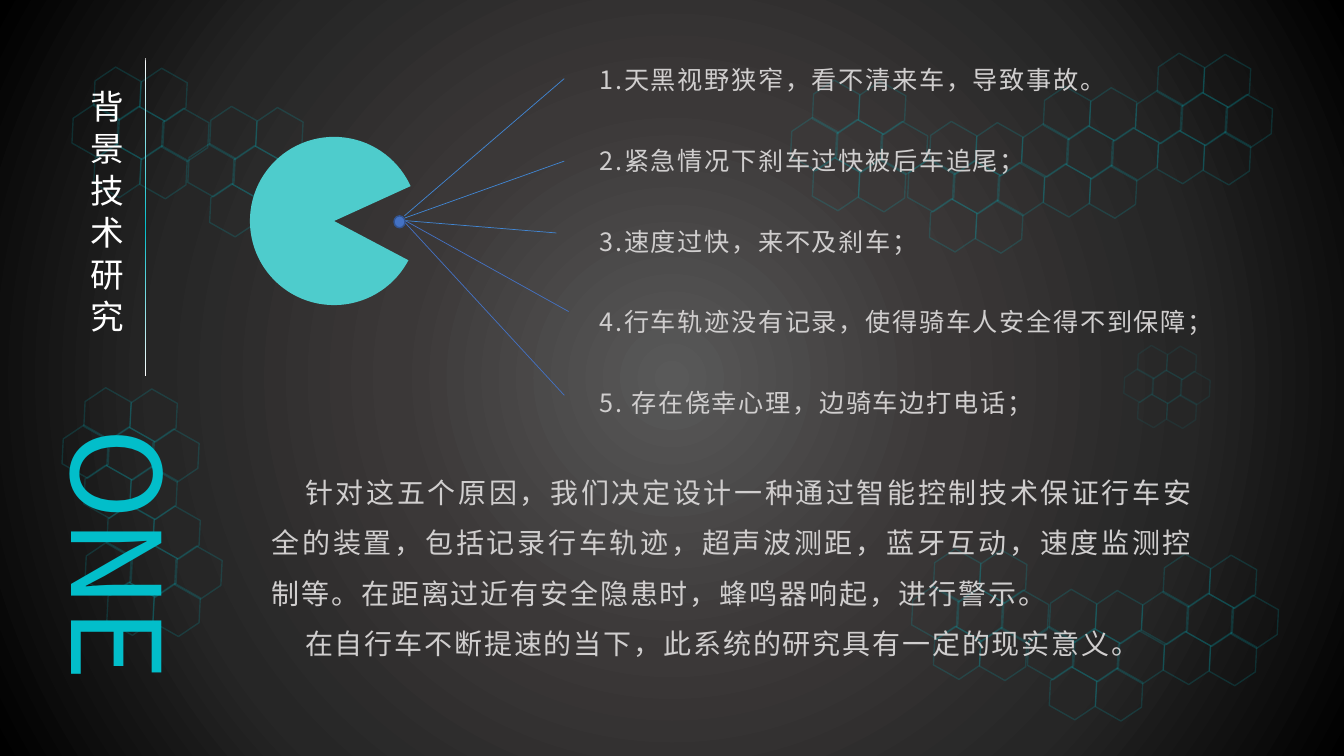
from lxml import etree
from pptx import Presentation
from pptx import util as u
from pptx.dml.color import RGBColor
from pptx.enum import shapes, text
from pptx.oxml.ns import qn

Cm, Pt = u.Cm, u.Pt
SHAPE = shapes.MSO_SHAPE


def rgb(value):
    return RGBColor.from_string(value)


def gradient(fill, owner, stops, angle=None):
    """Fill with (percent, colour) stops: linear at an angle, or circular without one."""
    fill.gradient()
    grad = owner.find(".//" + qn("a:gradFill"))
    for child in list(grad):
        grad.remove(child)
    stop_list = etree.SubElement(grad, qn("a:gsLst"))
    for percent, color in stops:
        gs = etree.SubElement(stop_list, qn("a:gs"), pos=str(percent * 1000))
        etree.SubElement(gs, qn("a:srgbClr"), val=color)
    if angle is None:
        circle = etree.SubElement(grad, qn("a:path"), {"path": "circle"})
        etree.SubElement(circle, qn("a:fillToRect"), dict.fromkeys("ltrb", "50000"))
    else:
        etree.SubElement(grad, qn("a:lin"), ang=str(angle * 60000), scaled="0")


class SlideBuilder:
    FONT = "Noto Sans CJK SC"
    CYAN, TEAL, GREY, WHITE = "02BECA", "4ECCCC", "D0CECE", "FFFFFF"
    BLUE, SKY, NAVY = "4472C4", "4186D3", "325491"

    def __init__(self, prs):
        self.s = prs.slides.add_slide(prs.slide_layouts[1])

    def background(self, stops):
        gradient(self.s.background.fill, self.s._element, stops)

    def shape(self, kind, box, fill=None, line=None, width=1, rotation=0, alpha=None):
        sp = self.s.shapes.add_shape(kind, *map(Cm, box))
        sp.shadow.inherit = False
        sp.rotation = rotation
        if fill:
            sp.fill.solid()
            sp.fill.fore_color.rgb = rgb(fill)
        else:
            sp.fill.background()
        if line:
            sp.line.color.rgb = rgb(line)
            sp.line.width = Pt(width)
        else:
            sp.line.fill.background()
        if alpha:
            color = sp.line._ln.find(".//" + qn("a:srgbClr"))
            etree.SubElement(color, qn("a:alpha"), val=str(alpha * 1000))
        return sp

    def honeycomb(self, x, y, alpha, scale=1):
        """Seven hexagons: one centred on x, y and six around it."""
        w, h = 1.3 * scale, 1.12 * scale
        half_ring = [(1.13, 0.05), (0.58, 0.99), (-0.58, 0.96)]
        ring = [(sign * dx, sign * dy) for sign in (1, -1) for dx, dy in half_ring]
        for dx, dy in [(0, 0)] + ring:
            box = (x + dx * scale - w / 2, y + dy * scale - h / 2, w, h)
            self.shape(SHAPE.HEXAGON, box, line=self.CYAN, rotation=29.5, alpha=alpha)

    def line(self, start, end, color):
        c = self.s.shapes.add_connector(
            shapes.MSO_CONNECTOR.STRAIGHT, *map(Cm, start + end))
        c.line.color.rgb = rgb(color)
        c.line.width = Pt(0.5)
        etree.SubElement(c._element.spPr, qn("a:effectLst"))

    def placeholder(self, sp, box):
        """Move a placeholder into its box and to the front."""
        sp.left, sp.top, sp.width, sp.height = map(Cm, box)
        self.s.shapes._spTree.append(sp._element)
        return sp

    def textbox(self, box):
        return self.s.shapes.add_textbox(*map(Cm, box))

    def text(self, sp, lines, size, color=GREY, spacing=0, indent=0, line_spacing=1,
             gap=0, align=text.PP_ALIGN.LEFT, fade=None):
        tf = sp.text_frame
        tf.word_wrap = True
        tf.auto_size = text.MSO_AUTO_SIZE.NONE
        tf.vertical_anchor = text.MSO_ANCHOR.TOP
        for i, line in enumerate(lines):
            p = tf.paragraphs[0] if i == 0 else tf.add_paragraph()
            pPr = p._p.get_or_add_pPr()
            pPr.set("marL", "0")
            pPr.set("indent", str(Cm(indent)))
            etree.SubElement(pPr, qn("a:buNone"))
            p.alignment = align
            p.line_spacing = line_spacing
            p.space_before = Pt(gap if i else 0)
            r = p.add_run()
            r.text = line
            r.font.size = Pt(size)
            if fade:
                gradient(r.font.fill, r._r, fade, 180)
            else:
                r.font.color.rgb = rgb(color)
            r.font.name = self.FONT
            rPr = r._r.get_or_add_rPr()
            rPr.set("spc", str(round(spacing * 100)))
            etree.SubElement(rPr, qn("a:ea"), typeface=self.FONT)
        return tf


def main():
    prs = Presentation()
    prs.slide_width, prs.slide_height = Cm(33.87), Cm(19.05)
    b = SlideBuilder(prs)
    b.background([(0, "595959"), (36, "3B3838"), (67, "262626"), (100, "000000")])

    for x, y, alpha in [
        (3.87, 14.38, 16), (3.29, 11.43, 17), (27.62, 16.51, 16), (24.7, 15.49, 17),
        (30.49, 15.62, 17), (27.47, 3.84, 16), (30.34, 3, 17), (24.6, 4.72, 17),
        (21.65, 3.68, 16), (3.54, 3.35, 17), (6.46, 4.34, 17),
    ]:
        b.honeycomb(x, y, alpha)
    b.honeycomb(29.41, 9.75, 8, scale=0.63)

    number = b.textbox((-1.3, 13.23, 8.64, 3.76))
    number.rotation = 90
    tf = b.text(number, ["ONE"], 88, b.CYAN)
    tf.margin_left = tf.margin_right = tf.margin_top = tf.margin_bottom = 0

    title = b.placeholder(b.s.shapes.title, (1.88, 2.13, 1.55, 7.44))
    tf = b.text(title, ["背景技术研究"], 24, spacing=6,
                fade=[(0, b.WHITE), (100, b.CYAN)])
    tf._txBody.bodyPr.set("vert", "eaVert")
    rule = b.shape(SHAPE.RECTANGLE, (-0.33, 5.46, 8, 0.02), rotation=90)
    gradient(rule.fill, rule._element.spPr,
             [(0, b.WHITE), (53, b.CYAN), (100, b.WHITE)], 0)

    prose = dict(indent=0.84, line_spacing=1.5, align=text.PP_ALIGN.JUSTIFY)
    b.text(b.textbox((6.6, 11.43, 23.72, 5.23)), [
        "针对这五个原因，我们决定设计一种通过智能控制技术保证行车安全的装置，"
        "包括记录行车轨迹，超声波测距，蓝牙互动，速度监测控制等。"
        "在距离过近有安全隐患时，蜂鸣器响起，进行警示。",
        "在自行车不断提速的当下，此系统的研究具有一定的现实意义。",
    ], 20, spacing=1.3, **prose)

    pie = b.shape(SHAPE.PIE, (6.3, 3.45, 4.24, 4.24), fill=b.TEAL)
    pie.adjustments[0], pie.adjustments[1] = 16.696, 201.306
    causes = b.placeholder(b.s.placeholders[1], (14.02, 1.12, 17.73, 9.5))
    b.text(causes, [
        "1.天黑视野狭窄，看不清来车，导致事故。",
        "2.紧急情况下刹车过快被后车追尾；",
        "3.速度过快，来不及刹车；",
        "4.行车轨迹没有记录，使得骑车人安全得不到保障；",
        "5. 存在侥幸心理，边骑车边打电话；",
    ], 18, spacing=1.2, gap=25.2, **prose)

    for start, end, color in [
        ((10.19, 5.44), (14.22, 1.98), b.SKY), ((10.21, 5.49), (14.22, 4.06), b.SKY),
        ((10.21, 5.56), (14.02, 5.87), b.SKY), ((10.21, 5.56), (14.33, 7.85), b.BLUE),
        ((10.19, 5.59), (14.22, 9.96), b.BLUE),
    ]:
        b.line(start, end, color)
    b.shape(SHAPE.OVAL, (9.93, 5.44, 0.28, 0.3), fill=b.BLUE, line=b.NAVY)

    prs.save("out.pptx")


if __name__ == "__main__":
    main()
